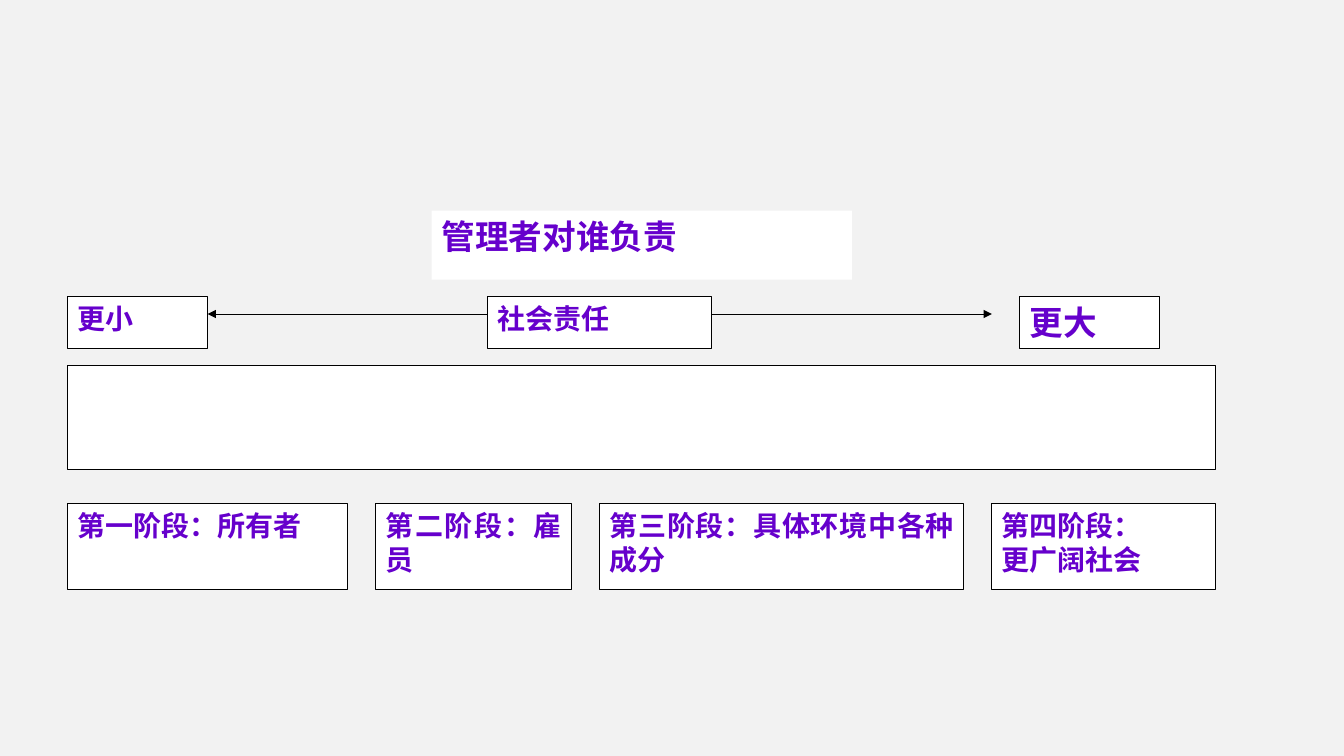
from lxml import etree
from pptx import Presentation
from pptx.dml.color import RGBColor
from pptx.enum.shapes import MSO_CONNECTOR, MSO_SHAPE
from pptx.enum.text import MSO_ANCHOR, MSO_AUTO_SIZE, PP_ALIGN
from pptx.oxml.ns import qn
from pptx.util import Inches, Pt

STRAIGHT = MSO_CONNECTOR.STRAIGHT
RECTANGLE = MSO_SHAPE.RECTANGLE
PROCESS = MSO_SHAPE.FLOWCHART_PROCESS
TOP_ANCHOR = MSO_ANCHOR.TOP
NO_AUTOFIT = MSO_AUTO_SIZE.NONE
JUSTIFY = PP_ALIGN.JUSTIFY

BACKGROUND = RGBColor(0xF2, 0xF2, 0xF2)
WHITE = RGBColor(0xFF, 0xFF, 0xFF)
BLACK = RGBColor(0x00, 0x00, 0x00)
PURPLE = RGBColor(0x66, 0x00, 0xCC)
FONT = "Times New Roman"
LINE_WIDTH = Pt(0.75)

# The diagram lies on a grid of 41 columns and 22 rows
LEFT, TOP = 0.67, 2.09
COLUMN = 11.39 / 41
ROW = 3.76 / 22

# Text and width in columns
STAGES = [
    ("第一阶段：所有者", 10),
    ("第二阶段：雇员", 7),
    ("第三阶段：具体环境中各种成分", 13),
    ("第四阶段：\n更广阔社会", 8),
]


def grid_x(column):
    return Inches(LEFT + column * COLUMN)


def grid_y(row):
    return Inches(TOP + row * ROW)


def write_text(shape, text, size):
    frame = shape.text_frame
    frame.text = text
    frame.word_wrap = True
    frame.auto_size = NO_AUTOFIT
    frame.vertical_anchor = TOP_ANCHOR
    for paragraph in frame.paragraphs:
        paragraph.alignment = JUSTIFY
        paragraph.line_spacing = 1.0
        paragraph.space_before = Pt(0)
        for run in paragraph.runs:
            run.font.name = FONT
            run.font.size = Pt(size)
            run.font.bold = True
            run.font.color.rgb = PURPLE


def add_box(slide, column, row, columns, rows, text="", size=20, kind=RECTANGLE):
    box = slide.shapes.add_shape(
        kind, grid_x(column), grid_y(row),
        Inches(columns * COLUMN), Inches(rows * ROW))
    box.shadow.inherit = False
    box.fill.solid()
    box.fill.fore_color.rgb = WHITE
    box.line.color.rgb = BLACK
    box.line.width = LINE_WIDTH
    if text:
        write_text(box, text, size)


def add_arrow(slide, start, end, row):
    arrow = slide.shapes.add_connector(
        STRAIGHT, grid_x(start), grid_y(row), grid_x(end), grid_y(row))
    arrow.line.color.rgb = BLACK
    arrow.line.width = LINE_WIDTH
    line = arrow._element.spPr.find(qn("a:ln"))
    etree.SubElement(line, qn("a:tailEnd"), type="triangle")
    etree.SubElement(arrow._element.spPr, qn("a:effectLst"))


def place_title(slide, column, row, columns, rows):
    title = slide.shapes.title
    title.left, title.top = grid_x(column), grid_y(row)
    title.width, title.height = Inches(columns * COLUMN), Inches(rows * ROW)
    title.fill.solid()
    title.fill.fore_color.rgb = WHITE
    write_text(title, "管理者对谁负责", 24)


def add_responsibility_scale(slide, column, row, rows):
    add_box(slide, column, row, 5, rows, "更小")
    add_box(slide, column + 15, row, 8, rows, "社会责任")
    add_box(slide, column + 34, row, 5, rows, "更大", 24)
    add_arrow(slide, column + 23, column + 33, row + 1)
    add_arrow(slide, column + 15, column + 5, row + 1)


def add_stages(slide, column, row, rows):
    for text, columns in STAGES:
        add_box(slide, column, row, columns, rows, text)
        column += columns + 1


def main():
    presentation = Presentation()
    presentation.slide_width = Inches(13.33)
    presentation.slide_height = Inches(7.5)
    slide = presentation.slides.add_slide(presentation.slide_layouts[5])
    slide.background.fill.solid()
    slide.background.fill.fore_color.rgb = BACKGROUND

    # Heading
    place_title(slide, 13, 0, 15, 4)
    # Scale from less to more responsibility
    add_responsibility_scale(slide, 0, 5, 3)
    # Empty band across the diagram
    add_box(slide, 0, 9, 41, 6, kind=PROCESS)
    # Row of stages
    add_stages(slide, 0, 17, 5)

    presentation.save("out.pptx")


if __name__ == "__main__":
    main()
